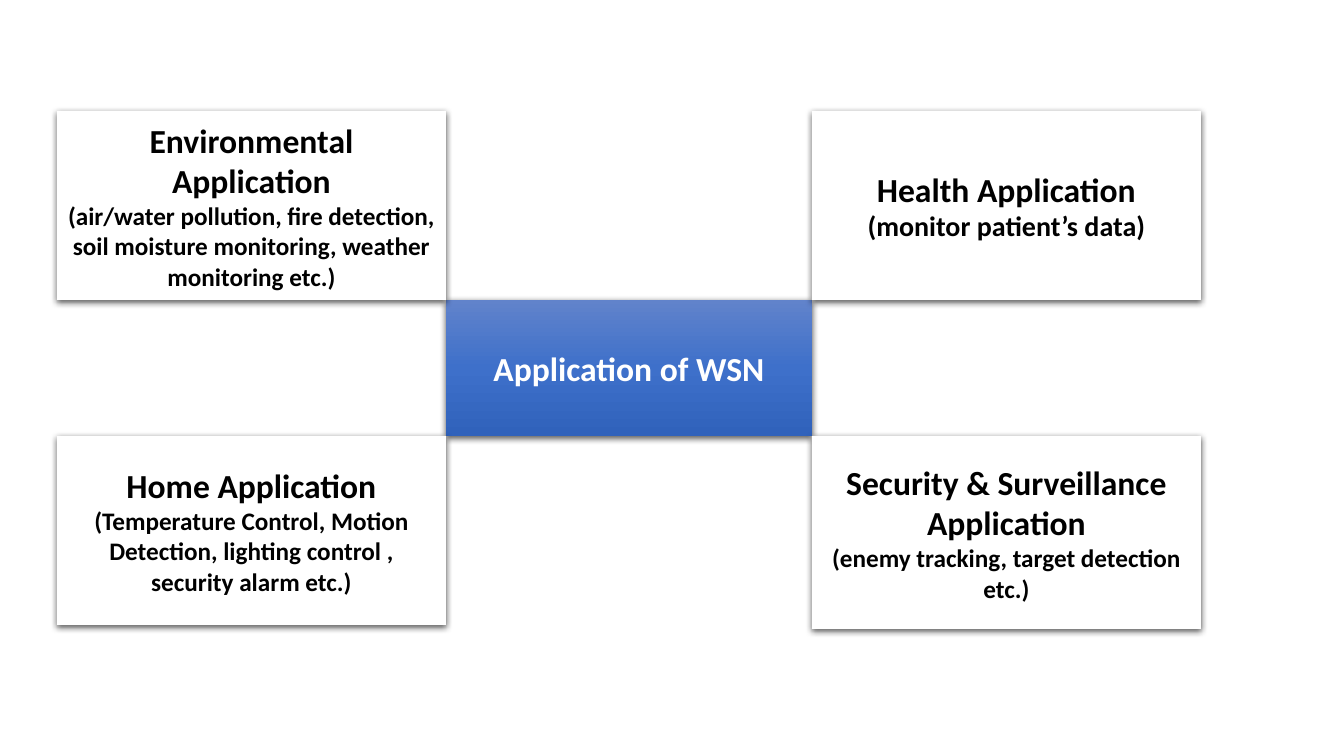
from copy import deepcopy
from dataclasses import dataclass

from lxml import etree
from pptx import Presentation
from pptx import util as u
from pptx.dml.color import RGBColor
from pptx.enum import shapes, text
from pptx.oxml.ns import qn

SLIDE_W, SLIDE_H = 1344, 756
SCALE = 12192000 / SLIDE_W
HUB_X, HUB_Y, HUB_W, HUB_H = 446, 300, 366, 136
CARD_W, CARD_H = 389, 189
LEFT, RIGHT = HUB_X - CARD_W, HUB_X + HUB_W
TOP, BOTTOM = HUB_Y - CARD_H, HUB_Y + HUB_H
HUB_GRADIENT = ((0, "6183CB"), (0.5, "3E70CA"), (1, "3062BB"))
FONT = {"name": "Calibri", "bold": True}
SHADOW = {"blurRad": u.Pt(4.5), "dist": u.Pt(1.5), "dir": 90 * 60000,
          "algn": "ctr", "rotWithShape": 0}


@dataclass
class Box:
    x: int
    y: int
    w: int
    h: int
    lines: tuple[tuple[str, int], ...]
    color: str = "000000"
    gradient: tuple[tuple[float, str], ...] = ()


BOXES = (
    Box(HUB_X, HUB_Y, HUB_W, HUB_H, (("Application of WSN", 24),),
        "FFFFFF", HUB_GRADIENT),
    Box(LEFT, BOTTOM, CARD_W, CARD_H, (
        ("Home Application", 24),
        ("(Temperature Control, Motion Detection, lighting control , "
         "security alarm etc.)", 18))),
    Box(RIGHT, BOTTOM, CARD_W, 193, (
        ("Security & Surveillance Application", 24),
        ("(enemy tracking, target detection etc.)", 18))),
    Box(RIGHT, TOP, CARD_W, CARD_H, (
        ("Health Application", 24),
        ("(monitor patient’s data)", 20))),
    Box(LEFT, TOP, CARD_W, CARD_H, (
        ("Environmental Application", 24),
        ("(air/water pollution, fire detection, soil moisture monitoring, "
         "weather monitoring etc.)", 18))),
)


def px(n: int) -> u.Emu:
    return u.Emu(round(n * SCALE))


def rgb(value: str) -> RGBColor:
    return RGBColor.from_string(value)


def fill_gradient(sp, gradient: tuple[tuple[float, str], ...]) -> None:
    sp.fill.gradient()
    sp.fill.gradient_angle = 270
    stops = sp._element.spPr.find(".//" + qn("a:gsLst"))
    stops.insert(1, deepcopy(stops[0]))
    for stop, (position, color) in zip(sp.fill.gradient_stops, gradient):
        stop.position = position
        stop.color.rgb = rgb(color)


def add_shadow(sp) -> None:
    sp.shadow.inherit = False
    effects = sp._element.spPr.find(qn("a:effectLst"))
    outer = etree.SubElement(effects, qn("a:outerShdw"),
                             {key: str(value) for key, value in SHADOW.items()})
    color = etree.SubElement(outer, qn("a:srgbClr"), val="000000")
    etree.SubElement(color, qn("a:alpha"), val="63000")


def add_box(s, box: Box) -> None:
    sp = s.shapes.add_shape(shapes.MSO_SHAPE.RECTANGLE,
                            *map(px, (box.x, box.y, box.w, box.h)))
    if box.gradient:
        fill_gradient(sp, box.gradient)
    else:
        sp.fill.solid()
        sp.fill.fore_color.rgb = rgb("FFFFFF")
    sp.line.fill.background()
    add_shadow(sp)
    tf = sp.text_frame
    tf.word_wrap = True
    tf.vertical_anchor = text.MSO_ANCHOR.MIDDLE
    for i, (line, size) in enumerate(box.lines):
        p = tf.add_paragraph() if i else tf.paragraphs[0]
        p.alignment = text.PP_ALIGN.CENTER
        r = p.add_run()
        r.text = line
        for name, value in {**FONT, "size": u.Pt(size)}.items():
            setattr(r.font, name, value)
        r.font.color.rgb = rgb(box.color)


def main() -> None:
    prs = Presentation()
    prs.slide_width, prs.slide_height = px(SLIDE_W), px(SLIDE_H)
    s = prs.slides.add_slide(prs.slide_layouts[6])
    for box in BOXES:
        add_box(s, box)
    prs.save("out.pptx")


if __name__ == "__main__":
    main()
